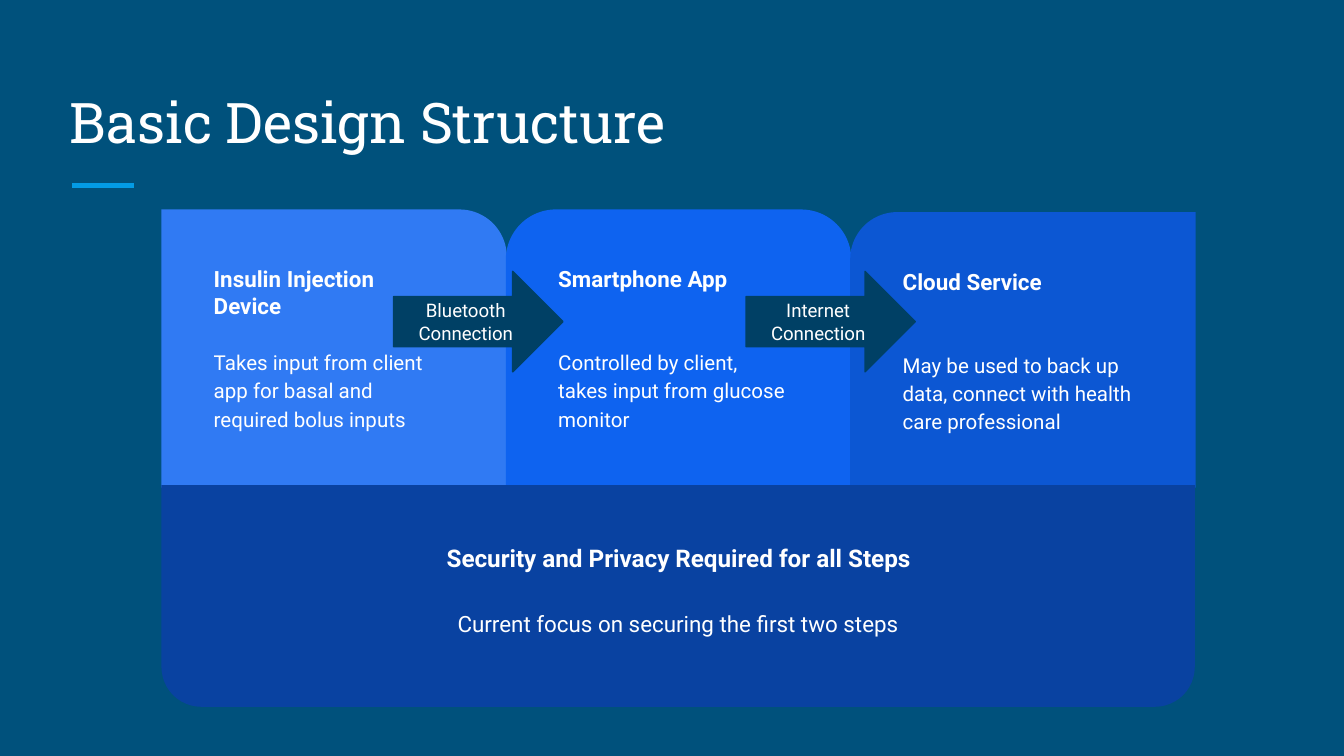
from typing import NamedTuple

from lxml.etree import SubElement
from pptx import Presentation
from pptx.dml.color import RGBColor
from pptx.enum.shapes import MSO_CONNECTOR as Link, MSO_SHAPE as Kind
from pptx.enum.text import MSO_ANCHOR as Anchor, MSO_AUTO_SIZE as Fit, PP_ALIGN as Align
from pptx.oxml.ns import qn
from pptx.util import Cm, Pt

WHITE = "FFFFFF"
NAVY = "004065"
PAD = Cm(0.25)
LEFT, WIDE, STEP, FOOT = 3.05, 6.53, 6.51, 9.22


class Box(NamedTuple):
    x: float
    y: float
    w: float
    h: float


class Card(NamedTuple):
    head: str
    body: str
    kind: Kind
    adj: list
    fill: str
    top: float
    flip: bool = False


class Arrow(NamedTuple):
    text: str
    x: float


def hue(color, code: str) -> None:
    color.rgb = RGBColor.from_string(code)


def place(box: Box) -> list:
    return [Cm(n) for n in box]


def write(frame, text: str, size: float, font: str = "Roboto", bold: bool = False,
          align: Align = Align.LEFT, anchor: Anchor = Anchor.TOP, loose: bool = False) -> None:
    frame.word_wrap = True
    frame.auto_size = Fit.NONE
    frame.vertical_anchor = anchor
    frame.margin_left = frame.margin_right = PAD
    frame.margin_top = frame.margin_bottom = PAD
    para = frame.paragraphs[0]
    para.alignment = align
    if loose:
        para.line_spacing = 1.15
        para.space_after = Pt(16)
    run = para.add_run()
    run.text = text
    run.font.name = font
    run.font.size = Pt(size)
    run.font.bold = bold
    hue(run.font.color, WHITE)


def label(slide, box: Box, text: str, size: float, **style) -> None:
    write(slide.shapes.add_textbox(*place(box)).text_frame, text, size, **style)


def block(slide, kind: Kind, box: Box, adj: list, fill: str):
    shape = slide.shapes.add_shape(kind, *place(box))
    shape.shadow.inherit = False
    for i, value in enumerate(adj):
        shape.adjustments[i] = value
    shape.fill.solid()
    hue(shape.fill.fore_color, fill)
    shape.line.fill.background()
    return shape


def draw_card(slide, card: Card, x: float) -> None:
    box = Box(x, card.top, WIDE, FOOT - card.top)
    shape = block(slide, card.kind, box, card.adj, card.fill)
    if card.flip:
        shape.element.spPr.find(qn("a:xfrm")).set("flipH", "1")
    label(slide, Box(x + 0.74, card.top + 0.81, 4.88, 1.55), card.head, 12, bold=True)
    label(slide, Box(x + 0.74, card.top + 2.34, 4.88, 1.73), card.body, 11, loose=True)


def draw_base(slide) -> None:
    shape = block(slide, Kind.ROUND_2_SAME_RECTANGLE, Box(LEFT, 9.17, 19.53, 4.19),
                  [0.18, 0], "0942A1")
    shape.rotation = 180
    label(slide, Box(6.15, 10.01, 13.34, 1.17), "Security and Privacy Required for all Steps",
          13, bold=True, align=Align.CENTER)
    label(slide, Box(6.15, 11.2, 13.34, 1.3), "Current focus on securing the first two steps",
          12, align=Align.CENTER, loose=True)


def draw_arrow(slide, arrow: Arrow) -> None:
    shape = block(slide, Kind.RIGHT_ARROW, Box(arrow.x, 5.13, 3.2, 1.9), [0.5, 0.5], NAVY)
    shape.line.fill.solid()
    hue(shape.line.color, NAVY)
    shape.line.width = Pt(0.75)
    write(shape.text_frame, arrow.text, 10, align=Align.CENTER, anchor=Anchor.MIDDLE)


def draw_title(slide) -> None:
    rule = slide.shapes.add_connector(Link.STRAIGHT, Cm(1.37), Cm(3.51), Cm(2.54), Cm(3.51))
    hue(rule.line.color, "039BE5")
    rule.line.width = Pt(3)
    SubElement(rule.element.spPr, qn("a:effectLst"))
    title = slide.shapes.title
    title.left, title.top, title.width, title.height = place(Box(1.07, 1.27, 23.24, 1.9))
    write(title.text_frame, "Basic Design Structure", 30, font="Roboto Slab",
          anchor=Anchor.BOTTOM)


CARDS = [
    Card("Insulin Injection Device",
         "Takes input from client app for basal and required bolus inputs",
         Kind.ROUND_1_RECTANGLE, [0.17], "307AF3", 3.96),
    Card("Smartphone App", "Controlled by client, takes input from glucose monitor",
         Kind.ROUND_2_SAME_RECTANGLE, [0.18, 0], "0E63F0", 3.96),
    Card("Cloud Service", "May be used to back up data, connect with health care professional",
         Kind.ROUND_1_RECTANGLE, [0.17], "0C57D3", 4.01, True),
]
ARROWS = [Arrow("Bluetooth Connection", 7.44), Arrow("Internet Connection", 14.1)]


def main() -> None:
    deck = Presentation()
    deck.slide_width, deck.slide_height = Cm(25.4), Cm(14.29)
    slide = deck.slides.add_slide(deck.slide_layouts[5])
    slide.background.fill.solid()
    hue(slide.background.fill.fore_color, "00517C")
    draw_title(slide)
    for i, card in enumerate(CARDS):
        draw_card(slide, card, LEFT + i * STEP)
    draw_base(slide)
    for arrow in ARROWS:
        draw_arrow(slide, arrow)
    deck.save("out.pptx")


if __name__ == "__main__":
    main()
